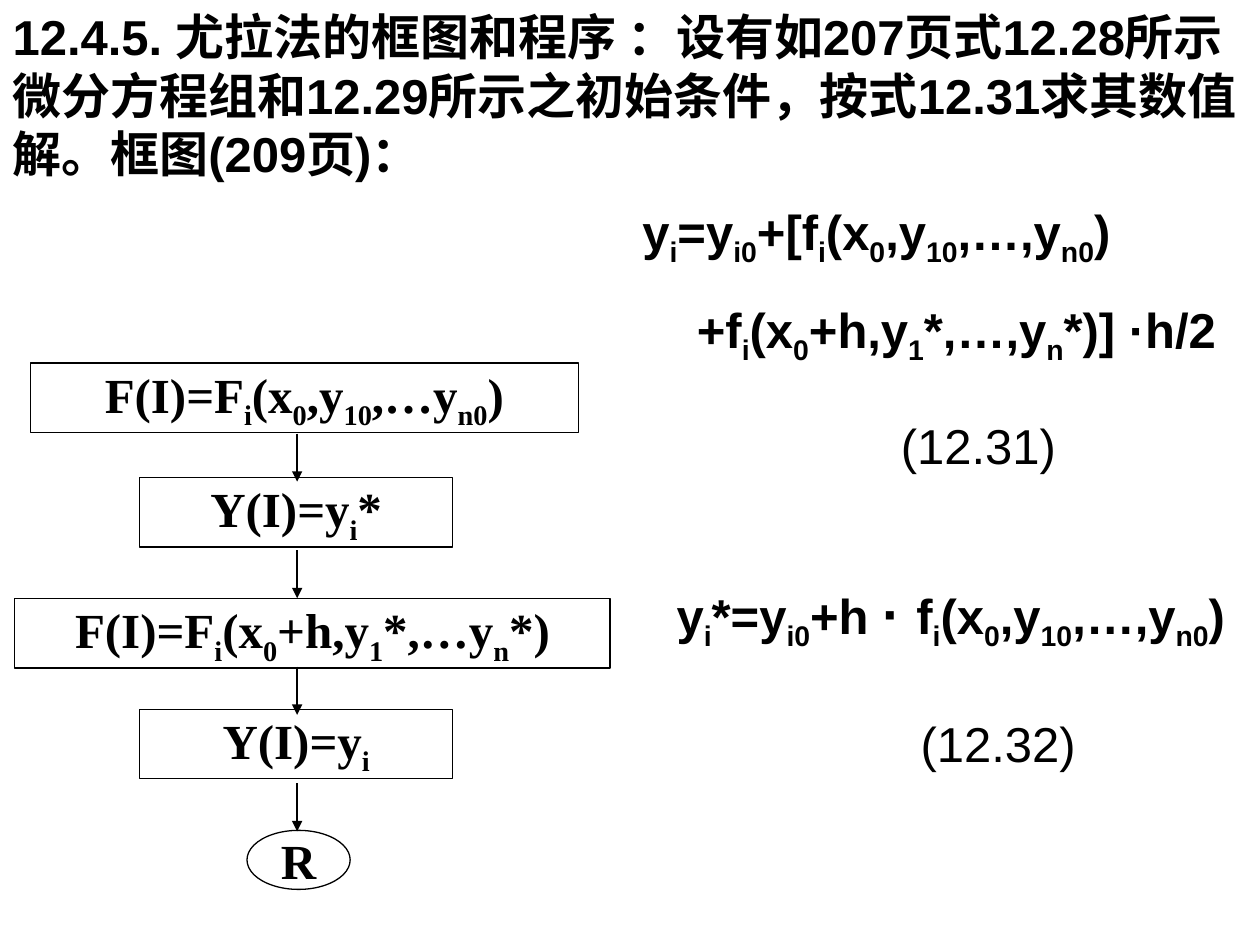
from lxml.etree import SubElement
from pptx import Presentation
from pptx.dml.color import RGBColor
from pptx.enum.shapes import MSO_CONNECTOR, MSO_SHAPE
from pptx.enum.text import MSO_ANCHOR, MSO_AUTO_SIZE, PP_ALIGN
from pptx.oxml.ns import qn
from pptx.util import Cm, Pt

BLACK = RGBColor(0, 0, 0)
SANS, SERIF = "Arial", "Times New Roman"
TEXT_SIZE, DOT_SIZE = 28, 32

# Content: text between underscores is subscript, "__" only splits a run
HEADING = ("12.4.5. 尤拉法的框图和程序 ：设有如207页式12.28所示微分方程组和"
           "12.29所示之初始条件，按式12.31求其数值解。框图(209页)：")

# left, top, width, height in cm, bold, lines
FORMULAS = [
    (12.7, 3.94, 12.7, 3.58, True,
     ["y_i_=y_i0_+[f_i_(x_0_,y_10_,…,y_n0_)",
      "+f_i_(x_0_+h,y_1_*,…,y_n_*)] ·h/2"]),
    (17.91, 8.26, 3.94, 1.5, False, ["(12.31)"]),
    (13.39, 11.53, 12.01, 1.75, True,
     ["y_i_*=y_i0_+h __· __f_i_(x_0_,y_10_,…,y_n0_)"]),
    (18.31, 14.25, 3.94, 1.5, False, ["(12.32)"]),
]

# preset, left, top, width, height in cm, label
STEPS = [
    (MSO_SHAPE.RECTANGLE, 0.61, 7.32, 11.05, 1.4, "F(I)=F_i_(x_0_,y_10_,…y_n0_)"),
    (MSO_SHAPE.RECTANGLE, 2.82, 9.63, 6.3, 1.4, "Y(I)=y_i_*"),
    (MSO_SHAPE.RECTANGLE, 0.3, 12.07, 12, 1.4, "F(I)=F_i_(x_0_+h,y_1_*,…y_n_*)"),
    (MSO_SHAPE.RECTANGLE, 2.82, 14.3, 6.3, 1.4, "Y(I)=y_i_"),
    (MSO_SHAPE.OVAL, 4.98, 16.74, 2.08, 1.19, "R"),
]
ARROW_X, ARROW_TOP, ARROW_PITCH, ARROW_LENGTH = 5.99, 8.74, 2.35, 0.97


def write_formula(paragraph, formula, font_name, bold=True):
    for index, piece in enumerate(formula.split("_")):
        if not piece:
            continue
        run = paragraph.add_run()
        run.text = piece
        font = run.font
        font.name, font.bold = font_name, bold
        font.size = Pt(DOT_SIZE if piece == "· " else TEXT_SIZE)
        font.color.rgb = BLACK
        if index % 2:
            font._element.set("baseline", "-25000")


def add_arrow(slide, x, top, length):
    arrow = slide.shapes.add_connector(
        MSO_CONNECTOR.STRAIGHT, Cm(x), Cm(top), Cm(x), Cm(top + length))
    arrow.line.color.rgb = BLACK
    arrow.line.width = Pt(0.75)
    SubElement(arrow.line._get_or_add_ln(), qn("a:tailEnd"), type="triangle")
    SubElement(arrow._element.spPr, qn("a:effectLst"))


def main():
    prs = Presentation()
    prs.slide_width, prs.slide_height = Cm(25.4), Cm(19.05)
    slide = prs.slides.add_slide(prs.slide_layouts[5])

    # Heading
    heading = slide.shapes.title
    heading.left, heading.top = Cm(0), Cm(0)
    heading.width, heading.height = Cm(25.4), Cm(3.81)
    frame = heading.text_frame
    frame.word_wrap = True
    frame.auto_size = MSO_AUTO_SIZE.NONE
    frame.vertical_anchor = MSO_ANCHOR.TOP
    frame.paragraphs[0].alignment = PP_ALIGN.LEFT
    write_formula(frame.paragraphs[0], HEADING, SANS)

    # Formulas and their numbers
    for left, top, width, height, bold, lines in FORMULAS:
        frame = slide.shapes.add_textbox(
            Cm(left), Cm(top), Cm(width), Cm(height)).text_frame
        frame.word_wrap = True
        for number, line in enumerate(lines):
            paragraph = frame.add_paragraph() if number else frame.paragraphs[0]
            if number:
                paragraph.space_before = Pt(17.5)
                paragraph._p.get_or_add_pPr().set("marL", str(Cm(1.1)))
            write_formula(paragraph, line, SANS, bold)

    # Flowchart steps
    for preset, left, top, width, height, label in STEPS:
        step = slide.shapes.add_shape(
            preset, Cm(left), Cm(top), Cm(width), Cm(height))
        step.shadow.inherit = False
        step.fill.background()
        step.line.color.rgb = BLACK
        step.line.width = Pt(0.75)
        frame = step.text_frame
        frame.word_wrap = False
        frame.vertical_anchor = MSO_ANCHOR.MIDDLE
        frame.paragraphs[0].alignment = PP_ALIGN.CENTER
        write_formula(frame.paragraphs[0], label, SERIF)

    # Arrows between consecutive steps
    for gap in range(len(STEPS) - 1):
        add_arrow(slide, ARROW_X, ARROW_TOP + gap * ARROW_PITCH, ARROW_LENGTH)

    prs.save("out.pptx")


if __name__ == "__main__":
    main()
